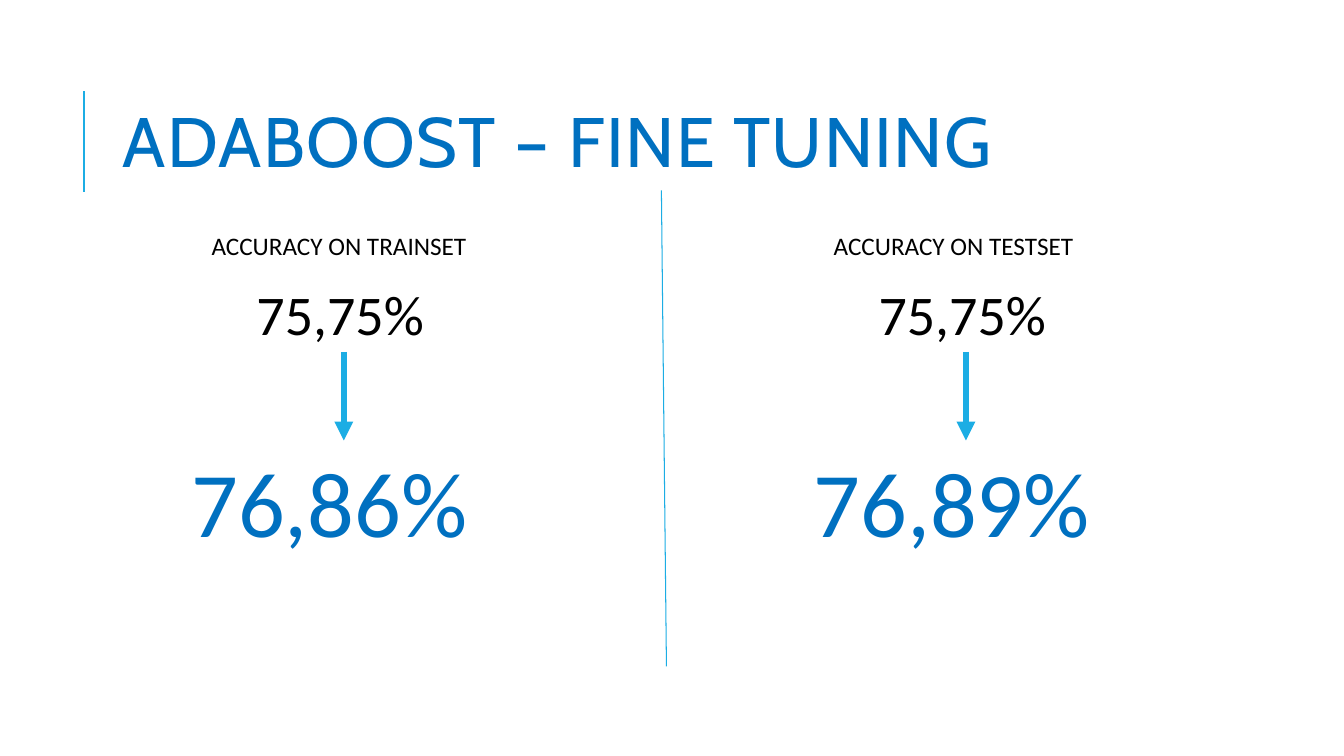
from dataclasses import dataclass

from lxml import etree
from pptx import Presentation
from pptx import util as u
from pptx.dml.color import RGBColor
from pptx.enum import shapes, text
from pptx.oxml import ns

PX = 9144  # EMU per px, 100 px to the inch


@dataclass(frozen=True)
class Theme:
    accent: str = "1CADE4"
    highlight: str = "0070C0"
    ink: str = "000000"
    heading_font: str = "Cabin"
    body_font: str = "Calibri"
    title_size: int = 50
    label_size: int = 18
    before_size: int = 40
    after_size: int = 66


@dataclass(frozen=True)
class Result:
    label: str
    label_width: int
    before: str
    after: str


THEME = Theme()
COLUMN_LEFT = 180
COLUMN_STEP = 617
RESULTS = [
    Result("ACCURACY ON TRAINSET", 283, " 75,75%", "76,86%"),
    Result("ACCURACY ON TESTSET", 267, " 75,75%", "76,89%"),
]


def px(length: int) -> int:
    return u.Emu(length * PX)


def add_text(slide, box: tuple[int, int, int, int], words: str, size: int,
             color: str, font: str = THEME.body_font, wrap: bool = False):
    """Add a one-line text box and return its frame and run."""
    frame = slide.shapes.add_textbox(*map(px, box)).text_frame
    frame.word_wrap = wrap
    frame.auto_size = (text.MSO_AUTO_SIZE.NONE if wrap
                       else text.MSO_AUTO_SIZE.SHAPE_TO_FIT_TEXT)
    run = frame.paragraphs[0].add_run()
    run.text = words
    run.font.name = font
    run.font.size = u.Pt(size)
    run.font.color.rgb = RGBColor.from_string(color)
    return frame, run


def add_line(slide, start: tuple[int, int], end: tuple[int, int],
             weight: float, arrow: bool = False) -> None:
    line = slide.shapes.add_connector(
        shapes.MSO_CONNECTOR.STRAIGHT, *map(px, start + end))
    line.line.color.rgb = RGBColor.from_string(THEME.accent)
    line.line.width = u.Pt(weight)
    if arrow:
        head = etree.SubElement(line.line._get_or_add_ln(), ns.qn("a:tailEnd"))
        head.set("type", "triangle")
    etree.SubElement(line._element.spPr, ns.qn("a:effectLst"))


def add_result(slide, left: int, result: Result) -> None:
    add_text(slide, (left + 20, 224, result.label_width, 40), result.label,
             THEME.label_size, THEME.ink)
    add_text(slide, (left + 52, 272, 219, 77), result.before,
             THEME.before_size, THEME.ink)
    add_text(slide, (left, 437, 322, 121), result.after,
             THEME.after_size, THEME.highlight)
    add_line(slide, (left + 161, 349), (left + 161, 437), 4.5, arrow=True)


def add_title(slide) -> None:
    frame, run = add_text(slide, (112, 64, 1063, 164), "ADABOOST – FINE TUNING",
                          THEME.title_size, THEME.highlight,
                          THEME.heading_font, wrap=True)
    frame.vertical_anchor = text.MSO_ANCHOR.MIDDLE
    frame.paragraphs[0].line_spacing = 0.8
    run.font._element.set("spc", "100")


def main() -> None:
    deck = Presentation()
    deck.slide_width, deck.slide_height = px(1333), px(750)
    slide = deck.slides.add_slide(deck.slide_layouts[6])

    # Title rule and column divider
    add_line(slide, (83, 190), (83, 90), 1.5)
    add_line(slide, (656, 189), (661, 661), 0.75)

    # Accuracy before and after tuning
    for column, result in enumerate(RESULTS):
        add_result(slide, COLUMN_LEFT + column * COLUMN_STEP, result)

    # Title
    add_title(slide)
    deck.save("out.pptx")


if __name__ == "__main__":
    main()
